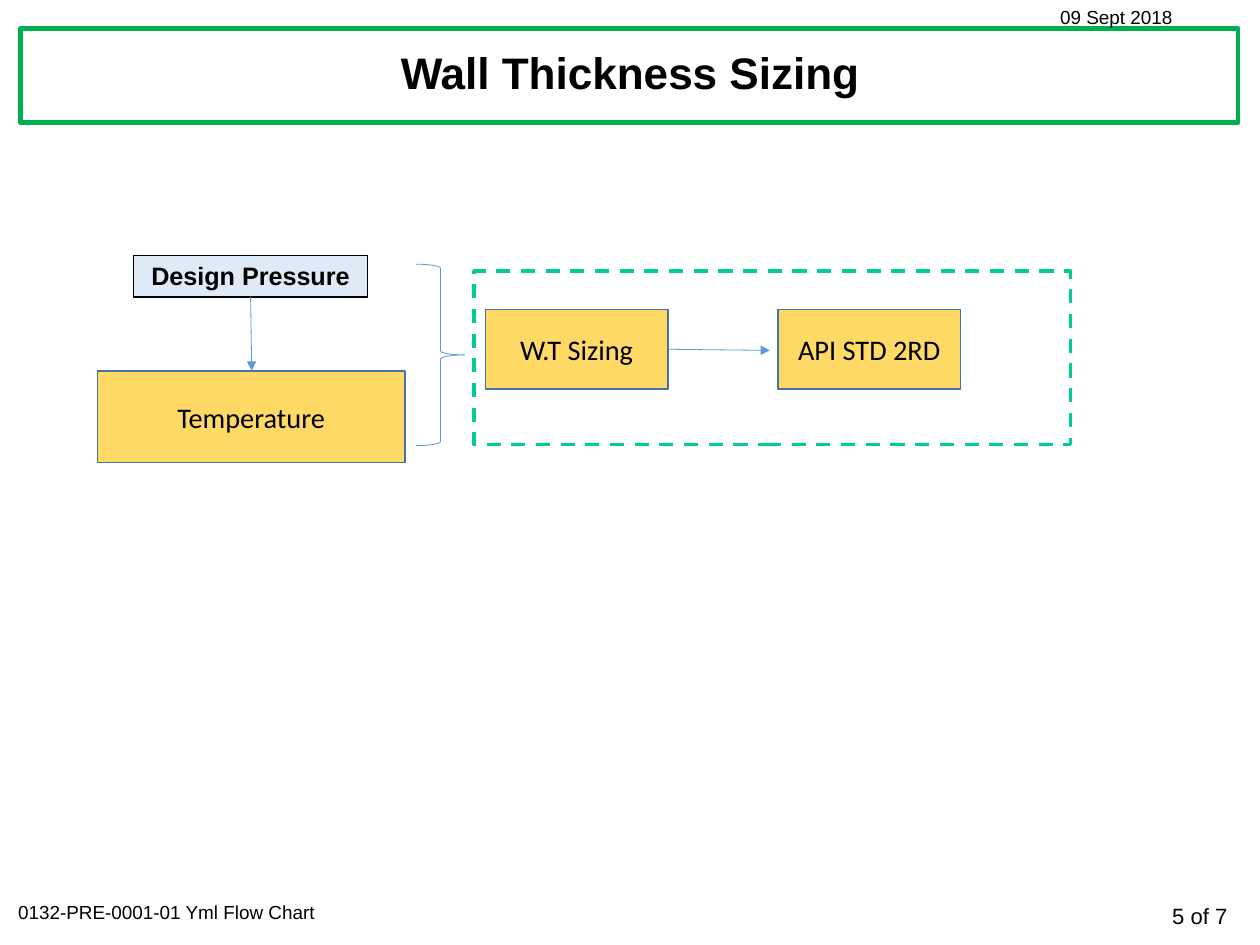
from lxml import etree
from pptx import Presentation
from pptx import util as u
from pptx.dml.color import RGBColor
from pptx.enum import dml, shapes, text
from pptx.oxml.ns import qn

COLORS = {
    "white": "FFFFFF", "black": "000000", "green": "00B050", "teal": "00CC99",
    "pale blue": "DEEBF7", "yellow": "FFD966", "steel": "43739E", "blue": "5B9BD5",
}
COLUMNS, ROWS = 100, 75
ALIGN = text.PP_ALIGN
ANCHOR = text.MSO_ANCHOR


def color(name):
    return RGBColor.from_string(COLORS[name])


class FlowPage:
    def __init__(self, deck):
        self.column = deck.slide_width / COLUMNS
        self.row = deck.slide_height / ROWS
        self.page = deck.slides.add_slide(deck.slide_layouts[6])

    def place(self, *cells):
        units = (self.column, self.row) * 2
        return [u.Emu(round(cell * unit)) for cell, unit in zip(cells, units)]

    def set_text(self, frame, words, size, font="Arial", bold=False,
                 align=ALIGN.LEFT, anchor=ANCHOR.TOP, grow=False):
        frame.word_wrap = True
        frame.vertical_anchor = anchor
        frame.auto_size = (text.MSO_AUTO_SIZE.SHAPE_TO_FIT_TEXT if grow
                           else text.MSO_AUTO_SIZE.NONE)
        para = frame.paragraphs[0]
        para.text = words
        para.alignment = align
        para.font.size = u.Pt(size)
        para.font.name = font
        para.font.bold = bold
        para.font.color.rgb = color("black")
        return para

    def label(self, cells, words, size, **style):
        box = self.page.shapes.add_textbox(*self.place(*cells))
        return self.set_text(box.text_frame, words, size, **style)

    def shape(self, cells, line, width, fill=None, dash=None,
              kind=shapes.MSO_SHAPE.RECTANGLE):
        box = self.page.shapes.add_shape(kind, *self.place(*cells))
        box.shadow.inherit = False
        if fill:
            box.fill.solid()
            box.fill.fore_color.rgb = color(fill)
        else:
            box.fill.background()
        box.line.color.rgb = color(line)
        box.line.width = u.Pt(width)
        if dash:
            box.line.dash_style = dash
        return box

    def step(self, cells, words):
        box = self.shape(cells, "steel", 1, "yellow")
        self.set_text(box.text_frame, words, 18, font="Calibri",
                      align=ALIGN.CENTER, anchor=ANCHOR.MIDDLE)

    def arrow(self, *ends):
        link = self.page.shapes.add_connector(
            shapes.MSO_CONNECTOR.STRAIGHT, *self.place(*ends))
        link.line.color.rgb = color("blue")
        link.line.width = u.Pt(0.5)
        properties = link._element.spPr
        etree.SubElement(properties.find(qn("a:ln")), qn("a:tailEnd"), type="triangle")
        etree.SubElement(properties, qn("a:effectLst"))


def main():
    deck = Presentation()
    deck.slide_width, deck.slide_height = u.Inches(11.11), u.Inches(8.33)
    flow = FlowPage(deck)

    flow.shape((1.62, 2.25, 96.66, 7.47), "green", 2.75, "white")
    flow.label((84.6, 71.2, 13.7, 3.05), "5 of 7", 14, align=ALIGN.RIGHT, grow=True)
    flow.label((0.55, 71, 35.9, 2.7), "0132-PRE-0001-01 Yml Flow Chart", 12, grow=True)
    flow.label((83.25, 0, 15.1, 2.7), "09 Sept 2018", 12, grow=True)
    title = flow.label((1.9, 2.25, 96.2, 7.47), "Wall Thickness Sizing", 28,
                       bold=True, align=ALIGN.CENTER, anchor=ANCHOR.MIDDLE)
    title.line_spacing = 0.9
    title.space_before = u.Pt(10)

    pressure = flow.shape((10.62, 20.25, 18.54, 3.33), "black", 0.75, "pale blue")
    flow.set_text(pressure.text_frame, "Design Pressure", 16, bold=True,
                  align=ALIGN.CENTER, grow=True)
    flow.step((7.74, 29.43, 24.39, 7.29), "Temperature")
    flow.arrow(19.89, 23.58, 19.98, 29.43)

    flow.shape((33.03, 20.97, 3.87, 14.4), "blue", 0.5,
               kind=shapes.MSO_SHAPE.RIGHT_BRACE)
    flow.shape((37.62, 21.51, 47.34, 13.77), "teal", 2.25,
               dash=dml.MSO_LINE.DASH)
    for left, words in ((38.52, "W.T Sizing"), (61.74, "API STD 2RD")):
        flow.step((left, 24.57, 14.49, 6.3), words)
    flow.arrow(53.01, 27.72, 61.11, 27.81)

    deck.save("out.pptx")


if __name__ == "__main__":
    main()
